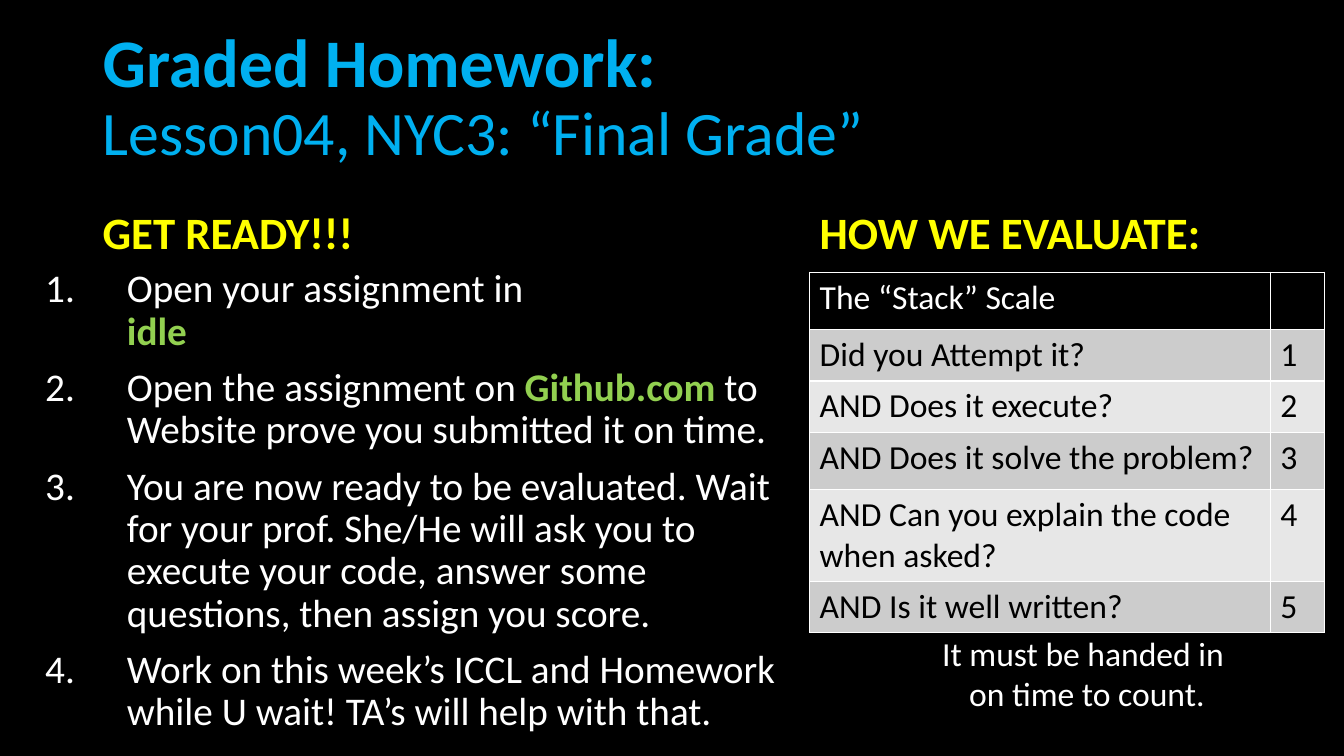
from lxml import etree
from pptx import Presentation
from pptx import util as u
from pptx.dml.color import RGBColor
from pptx.enum import text
from pptx.oxml import ns

BLACK = RGBColor(0x00, 0x00, 0x00)
WHITE = RGBColor(0xFF, 0xFF, 0xFF)
BLUE = RGBColor(0x00, 0xB0, 0xF0)
YELLOW = RGBColor(0xFF, 0xFF, 0x00)
GREEN = RGBColor(0x92, 0xD0, 0x50)
DARK_BAND = RGBColor(0xCC, 0xCC, 0xCC)
LIGHT_BAND = RGBColor(0xE7, 0xE7, 0xE7)

FONT = "Calibri"
WIDTH, HEIGHT = u.Inches(13.33), u.Inches(7.5)
COLUMN, ROW = WIDTH / 100, HEIGHT / 100
TITLE_LEFT, SCALE_LEFT = 6.9, 60.24
HEADING_TOP, HEADING_HEIGHT = 26.67, 8.27
STEP_INDENT = 6.08

STEPS = [
    [("Open your assignment in \n", False), ("idle", True)],
    [("Open the assignment on ", False), ("Github.com", True),
     (" to Website prove you submitted it on time.", False)],
    [("You are now ready to be evaluated. Wait for your prof. She/He will ask you to "
      "execute your code, answer some questions, then assign you score.", False)],
    [("Work on this week’s ICCL and Homework while U wait! "
      "TA’s will help with that.", False)],
]
SCALE = [
    ("The “Stack” Scale", 7.6),
    ("Did you Attempt it?", 6.8),
    ("AND Does it execute?", 6.8),
    ("AND Does it solve the problem?", 7.6),
    ("AND Can you explain the code when asked?", 12.13),
    ("AND Is it well written?", 6.8),
]
SCALE_COLUMNS = (34.28, 4.05)


def across(columns):
    return u.Emu(round(columns * COLUMN))


def down(rows):
    return u.Emu(round(rows * ROW))


def write(para, words, size=24, color=WHITE, bold=False):
    for index, line in enumerate(words.split("\n")):
        if index:
            para.add_line_break()
        if line:
            span = para.add_run()
            span.text = line
            font = span.font
            font.name, font.size, font.bold = FONT, u.Pt(size), bold
            font.color.rgb = color


def add_box(page, left, top, width, height, anchor=text.MSO_ANCHOR.TOP, wrap=True):
    box = page.shapes.add_textbox(across(left), down(top), across(width), down(height))
    frame = box.text_frame
    frame.word_wrap = wrap
    frame.vertical_anchor = anchor
    return frame


def add_heading(page, words, left, width):
    frame = add_box(page, left, HEADING_TOP, width, HEADING_HEIGHT, text.MSO_ANCHOR.BOTTOM)
    para = frame.paragraphs[0]
    para.line_spacing = 0.9
    write(para, words, size=32, color=YELLOW, bold=True)


def add_title(page):
    frame = add_box(page, TITLE_LEFT, 5.33, 86.27, 15.6, text.MSO_ANCHOR.MIDDLE)
    para = frame.paragraphs[0]
    para.line_spacing = 0.9
    write(para, "Graded Homework: \n", size=48.6, color=BLUE, bold=True)
    write(para, "Lesson04, NYC3: “Final Grade”", size=44.1, color=BLUE)


def number(para):
    properties = para._p.get_or_add_pPr()
    properties.set("marL", str(across(STEP_INDENT)))
    properties.set("indent", str(-across(STEP_INDENT)))
    etree.SubElement(properties, ns.qn("a:buFont"), typeface="+mj-lt")
    etree.SubElement(properties, ns.qn("a:buAutoNum"), type="arabicPeriod")


def add_steps(page):
    frame = add_box(page, 2.63, 34.93, 56.49, 62.27)
    for index, step in enumerate(STEPS):
        para = frame.add_paragraph() if index else frame.paragraphs[0]
        number(para)
        para.line_spacing = 0.9
        para.space_before = u.Pt(10 if index else 0)
        for words, strong in step:
            write(para, words, size=28, color=GREEN if strong else WHITE, bold=strong)


def add_borders(cell):
    properties = cell._tc.get_or_add_tcPr()
    for position, side in enumerate(("lnL", "lnR", "lnT", "lnB")):
        line = etree.Element(ns.qn(f"a:{side}"), w=str(u.Pt(1)))
        fill = etree.SubElement(line, ns.qn("a:solidFill"))
        etree.SubElement(fill, ns.qn("a:srgbClr"), val=str(WHITE))
        properties.insert(position, line)


def add_scale(page):
    table = page.shapes.add_table(
        len(SCALE), len(SCALE_COLUMNS), across(SCALE_LEFT), down(36),
        across(sum(SCALE_COLUMNS)), down(sum(height for _, height in SCALE))).table
    for column, width in zip(table.columns, SCALE_COLUMNS):
        column.width = across(width)
    for score, (question, height) in enumerate(SCALE):
        table.rows[score].height = down(height)
        band = (DARK_BAND if score % 2 else LIGHT_BAND) if score else BLACK
        for column, words in enumerate((question, str(score) if score else "")):
            cell = table.cell(score, column)
            cell.fill.solid()
            cell.fill.fore_color.rgb = band
            add_borders(cell)
            write(cell.text_frame.paragraphs[0], words, color=BLACK if score else WHITE)


def add_reminder(page):
    frame = add_box(page, 69.24, 83.07, 23.26, 12.13, wrap=False)
    frame.auto_size = text.MSO_AUTO_SIZE.SHAPE_TO_FIT_TEXT
    para = frame.paragraphs[0]
    para.alignment = text.PP_ALIGN.CENTER
    write(para, "It must be handed in \non time to count.")


def main():
    deck = Presentation()
    deck.slide_width, deck.slide_height = WIDTH, HEIGHT
    page = deck.slides.add_slide(deck.slide_layouts[6])
    page.background.fill.solid()
    page.background.fill.fore_color.rgb = BLACK
    add_title(page)
    add_heading(page, "GET READY!!!", TITLE_LEFT, 42.31)
    add_steps(page)
    add_heading(page, "HOW WE EVALUATE:", SCALE_LEFT, 35.03)
    add_scale(page)
    add_reminder(page)
    deck.save("out.pptx")


if __name__ == "__main__":
    main()
